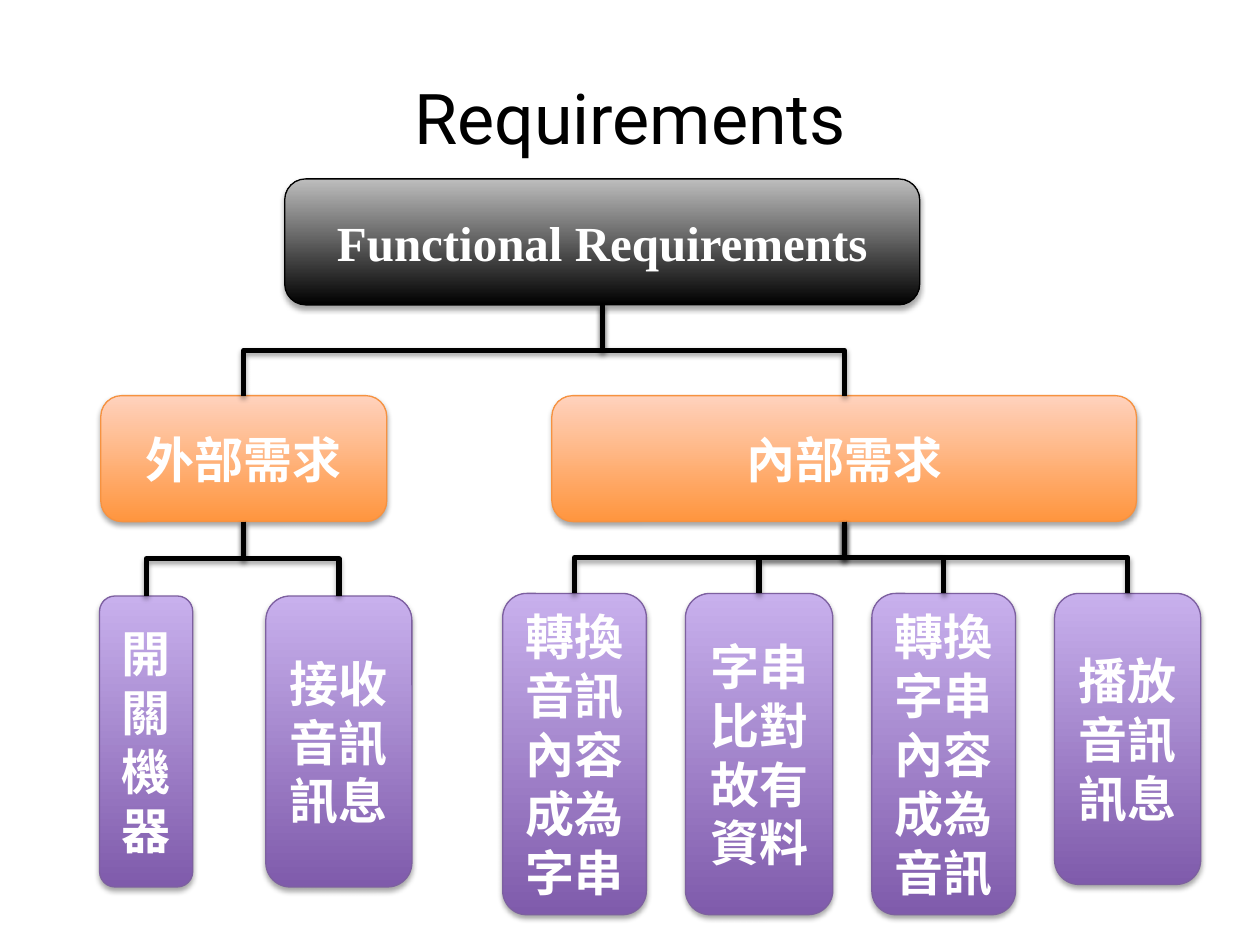
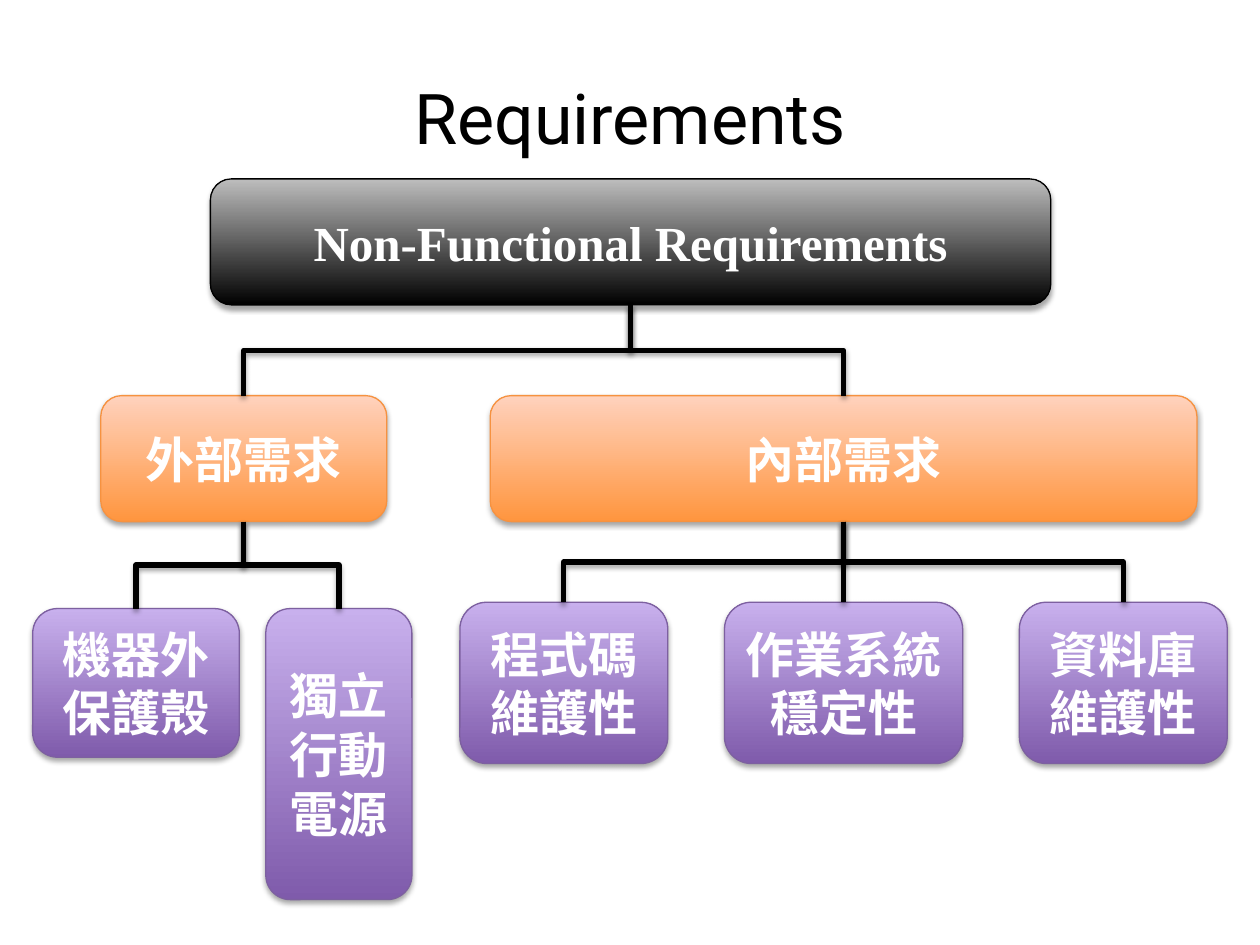
"""Build two requirement trees, functional and non-functional, one per slide."""

import dataclasses

import lxml.etree
import pptx
import pptx.dml.color
import pptx.enum.dml
import pptx.enum.shapes
import pptx.enum.text
import pptx.oxml
import pptx.oxml.ns
import pptx.presentation
import pptx.shapes.autoshape
import pptx.slide
import pptx.text.text
import pptx.util

Inches = pptx.util.Inches
Pt = pptx.util.Pt
RGBColor = pptx.dml.color.RGBColor

BLACK = RGBColor(0x00, 0x00, 0x00)
GREY = RGBColor(0xBD, 0xBD, 0xBD)
WHITE = RGBColor(0xFF, 0xFF, 0xFF)
ORANGE = RGBColor(0xFF, 0x95, 0x3E)
ORANGE_LIGHT = RGBColor(0xFF, 0xD2, 0xBD)
ORANGE_EDGE = RGBColor(0xF6, 0x92, 0x40)
PURPLE = RGBColor(0x7F, 0x5B, 0xAB)
PURPLE_LIGHT = RGBColor(0xC8, 0xB0, 0xED)
PURPLE_EDGE = RGBColor(0x7D, 0x60, 0xA0)

TITLE_ONLY_LAYOUT = 5
TOP_SITE, BOTTOM_SITE = 0, 2
BOX_SHADOW_DISTANCE = Pt(1.8)
LINE_SHADOW_DISTANCE = Pt(1.6)


@dataclasses.dataclass(frozen=True)
class LevelStyle:
    """Colours and font shared by all boxes of one tree level."""

    bottom: RGBColor
    top: RGBColor
    edge: RGBColor
    font: str


@dataclasses.dataclass(frozen=True)
class Leaf:
    """A single requirement, in inches."""

    text: str
    left: float
    width: float
    height: float


@dataclasses.dataclass(frozen=True)
class Group:
    """A group of requirements whose leaves share one top edge, in inches."""

    text: str
    left: float
    width: float
    leaf_top: float
    leaves: tuple[Leaf, ...]


@dataclasses.dataclass(frozen=True)
class Tree:
    """The root box and the groups under it, in inches."""

    text: str
    left: float
    width: float
    groups: tuple[Group, ...]


CJK_FONT = "Noto Sans CJK SC"
ROOT_STYLE = LevelStyle(BLACK, GREY, BLACK, "Times New Roman")
GROUP_STYLE = LevelStyle(ORANGE, ORANGE_LIGHT, ORANGE_EDGE, CJK_FONT)
LEAF_STYLE = LevelStyle(PURPLE, PURPLE_LIGHT, PURPLE_EDGE, CJK_FONT)

ROOT_TOP, GROUP_TOP, HEADING_HEIGHT = 1.42, 3.14, 1.0
TALL, TALLER, SHORT = 2.31, 2.55, 1.28

TREES = (
    Tree("Functional Requirements", 2.26, 5.04, (
        Group("外部需求", 0.8, 2.27, 4.73, (
            Leaf("開關機器", 0.79, 0.74, TALL),
            Leaf("接收音訊訊息", 2.11, 1.16, TALL),
        )),
        Group("內部需求", 4.38, 4.64, 4.71, (
            Leaf("轉換音訊內容成為字串", 3.99, 1.14, TALLER),
            Leaf("字串比對故有資料", 5.44, 1.17, TALLER),
            Leaf("轉換字串內容成為音訊", 6.92, 1.14, TALLER),
            Leaf("播放音訊訊息", 8.37, 1.16, TALL),
        )),
    )),
    Tree("Non-Functional Requirements", 1.67, 6.67, (
        Group("外部需求", 0.8, 2.27, 4.83, (
            Leaf("機器外保護殼", 0.26, 1.64, 1.18),
            Leaf("獨立行動電源", 2.11, 1.16, TALL),
        )),
        Group("內部需求", 3.89, 5.61, 4.78, (
            Leaf("程式碼維護性", 3.65, 1.65, SHORT),
            Leaf("作業系統穩定性", 5.75, 1.89, SHORT),
            Leaf("資料庫維護性", 8.09, 1.65, SHORT),
        )),
    )),
)


def format_text(paragraph: pptx.text.text._Paragraph, font_name: str, size: int,
                color: RGBColor, bold: bool) -> None:
    """Centre a paragraph and give its runs one Latin and East Asian font."""
    paragraph.alignment = pptx.enum.text.PP_ALIGN.CENTER
    for run in paragraph.runs:
        run.font.name = font_name
        run.font.size = Pt(size)
        run.font.bold = bold
        run.font.color.rgb = color
        east_asian = lxml.etree.Element(pptx.oxml.ns.qn("a:ea"), typeface=font_name)
        run.font._element.find(pptx.oxml.ns.qn("a:latin")).addnext(east_asian)


def add_shadow(properties: lxml.etree._Element, distance: int, opacity: int) -> None:
    """Append a soft black shadow that falls straight down."""
    properties.append(pptx.oxml.parse_xml(
        f'<a:effectLst {pptx.oxml.ns.nsdecls("a")}>'
        f'<a:outerShdw blurRad="{Pt(3.1)}" dist="{distance}" dir="5400000" rotWithShape="0">'
        f'<a:srgbClr val="{BLACK}"><a:alpha val="{opacity * 1000}"/></a:srgbClr>'
        '</a:outerShdw></a:effectLst>'))


def add_box(slide: pptx.slide.Slide, text: str, left: float, top: float, width: float,
            height: float, style: LevelStyle) -> pptx.shapes.autoshape.Shape:
    """Draw one rounded box of the tree."""
    box = slide.shapes.add_shape(
        pptx.enum.shapes.MSO_SHAPE.ROUNDED_RECTANGLE,
        Inches(left), Inches(top), Inches(width), Inches(height))
    box.fill.gradient()
    box.fill.gradient_angle = 90
    for stop, color in zip(box.fill.gradient_stops, (style.bottom, style.top)):
        stop.color.rgb = color
    box.line.color.rgb = style.edge
    box.line.width = Pt(0.75)
    add_shadow(box._element.spPr, BOX_SHADOW_DISTANCE, 35)
    box.text_frame.text = text
    box.text_frame.word_wrap = True
    box.text_frame.vertical_anchor = pptx.enum.text.MSO_ANCHOR.MIDDLE
    format_text(box.text_frame.paragraphs[0], style.font, 28, WHITE, True)
    return box


def add_branch(slide: pptx.slide.Slide, parent: pptx.shapes.autoshape.Shape,
               child: pptx.shapes.autoshape.Shape) -> None:
    """Join a parent's bottom to a child's top with a turned elbow connector."""
    begin_x, begin_y = parent.left + parent.width // 2, parent.top + parent.height
    end_x, end_y = child.left + child.width // 2, child.top
    connector = slide.shapes.add_connector(
        pptx.enum.shapes.MSO_CONNECTOR.ELBOW, begin_x, begin_y, end_x, end_y)
    connector.begin_connect(parent, BOTTOM_SITE)
    connector.end_connect(child, TOP_SITE)

    drop, spread = end_y - begin_y, abs(end_x - begin_x)
    connector.left = (begin_x + end_x - drop) // 2
    connector.top = (begin_y + end_y - spread) // 2
    connector.width, connector.height = drop, spread
    goes_right = end_x > begin_x
    transform = connector._element.spPr.find(pptx.oxml.ns.qn("a:xfrm"))
    transform.set("rot", "16200000" if goes_right else "5400000")
    transform.set("flipH", "1" if goes_right else "0")

    connector.line.color.rgb = BLACK
    connector.line.width = Pt(3)
    add_shadow(connector._element.spPr, LINE_SHADOW_DISTANCE, 38)


def add_tree_slide(presentation: pptx.presentation.Presentation, tree: Tree) -> None:
    """Add a titled slide with a whole requirement tree."""
    slide = presentation.slides.add_slide(presentation.slide_layouts[TITLE_ONLY_LAYOUT])
    title = slide.shapes.title
    title.left, title.top = Inches(0.5), Inches(0.3)
    title.width, title.height = Inches(9), Inches(1.25)
    title.text_frame.text = "Requirements"
    title.text_frame.vertical_anchor = pptx.enum.text.MSO_ANCHOR.MIDDLE
    format_text(title.text_frame.paragraphs[0], "Roboto", 40, BLACK, False)

    root_box = add_box(slide, tree.text, tree.left, ROOT_TOP, tree.width,
                       HEADING_HEIGHT, ROOT_STYLE)
    branches = []
    for group in tree.groups:
        group_box = add_box(slide, group.text, group.left, GROUP_TOP, group.width,
                            HEADING_HEIGHT, GROUP_STYLE)
        branches.append((root_box, group_box))
        for leaf in group.leaves:
            leaf_box = add_box(slide, leaf.text, leaf.left, group.leaf_top, leaf.width,
                               leaf.height, LEAF_STYLE)
            branches.append((group_box, leaf_box))
    for parent, child in branches:
        add_branch(slide, parent, child)


def main() -> None:
    """Create and save the presentation."""
    presentation = pptx.Presentation()
    presentation.slide_width, presentation.slide_height = Inches(10), Inches(7.5)
    for tree in TREES:
        add_tree_slide(presentation, tree)
    presentation.save("out.pptx")


if __name__ == "__main__":
    main()
